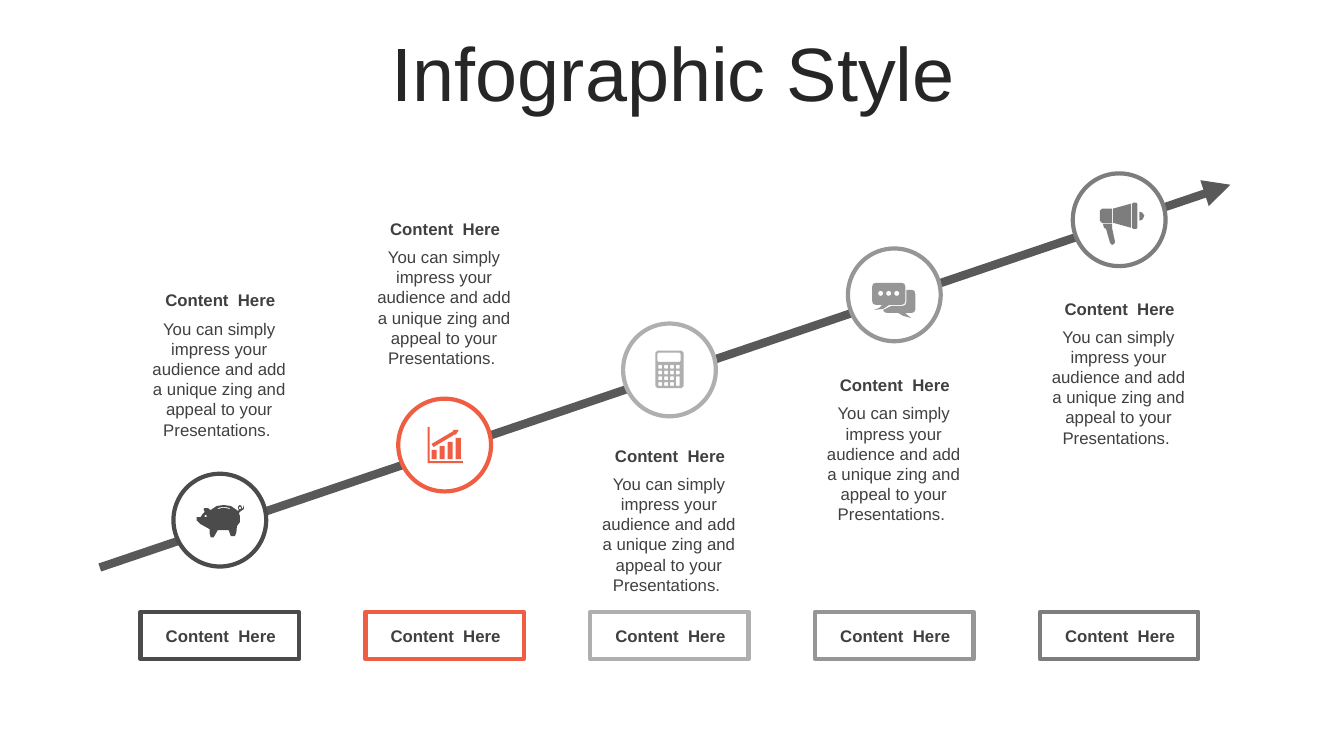
from math import cos, pi, sin
from lxml.etree import SubElement
from pptx import Presentation
from pptx.dml.color import RGBColor
from pptx.enum.shapes import MSO_CONNECTOR as Link, MSO_SHAPE as Kind
from pptx.enum.text import MSO_ANCHOR as Anchor, PP_ALIGN as Align
from pptx.oxml.ns import qn
from pptx.util import Inches, Pt

WHITE = RGBColor(0xFF, 0xFF, 0xFF)
TITLE = RGBColor(0x26, 0x26, 0x26)
TEXT = RGBColor(0x40, 0x40, 0x40)
ARROW = RGBColor(0x59, 0x59, 0x59)
DARK = RGBColor(0x4B, 0x4B, 0x4B)
RED = RGBColor(0xEF, 0x5E, 0x42)
LIGHT = RGBColor(0xAF, 0xAF, 0xAF)
MID = RGBColor(0x96, 0x96, 0x96)
GRAY = RGBColor(0x7D, 0x7D, 0x7D)

HEAD = "Content  Here"
BODY = ("You can simply impress your audience and add a unique zing "
        "and appeal to your Presentations. ")

# Grid: five columns, circles climbing by an equal step
FIRST, PITCH = 2.18, 2.23
BASE, RISE = 5.16, 0.745
RING, BOX_W, BOX_H, BOX_TOP = 0.92, 1.57, 0.47, 6.07

deck = Presentation()
deck.slide_width, deck.slide_height = Inches(13.33), Inches(7.5)
slide = deck.slides.add_slide(deck.slide_layouts[6])
shapes = slide.shapes


def write(text, left, top, width, height, size=12, color=TEXT, bold=False):
    box = shapes.add_textbox(Inches(left), Inches(top), Inches(width), Inches(height))
    frame = box.text_frame
    frame.word_wrap = True
    frame.text = text
    para = frame.paragraphs[0]
    para.alignment = Align.CENTER
    font = para.runs[0].font
    font.name, font.size, font.bold = "Arial", Pt(size), bold
    font.color.rgb = color
    return frame


def block(x, y, w, h, cut=0):
    """Outline of a rectangle with cut corners."""
    r, b = x + w, y + h
    return [(x + cut, y), (r - cut, y), (r, y + cut), (r, b - cut),
            (r - cut, b), (x + cut, b), (x, b - cut), (x, y + cut)]


# Icon outlines, in hundredths of an inch
disc = [(cos(k * pi / 6), sin(k * pi / 6)) for k in range(12)]

pig = [
    [(27, 0), (34, 1), (40, 5), (41, 6), (42, 5), (41, 3), (41.5, 1), (43, 0),
     (44.5, 1), (45, 3), (45, 4), (46, 3), (47, 0), (47, 4), (44, 6), (42, 8),
     (43, 11), (43, 17), (40, 21), (39.5, 27), (38, 31), (34, 31), (32, 25),
     (21, 25), (17, 32), (14, 32), (13, 28), (13, 24), (4, 19), (0, 15),
     (0, 12), (4, 12), (6, 9), (8, 7), (7, 4), (8, 3), (11, 3), (14, 5), (20, 1)],
    [(21, 3), (21, 4), (27, 2.7), (33, 4), (33, 3), (27, 1.7)],
] + [[(x + 1.2 * u, y + 1.2 * v) for u, v in disc] for x, y in [(9, 11), (43, 3)]]

chart = [block(4 + 8 * k, 23 - 4 * k, 5, 9 + 4 * k) for k in range(4)] + [
    [(25, 3), (31, 3), (28, 8), (28, 7), (6, 20), (4, 17), (26, 4)],
    [(0, 0), (2, 0), (2, 34), (35, 34), (35, 36), (0, 36)],
]

calc = [block(0, 0, 28, 37, 2), block(2, 2, 23, 9, 1)]
for col in range(4):
    for row in range(4):
        if (col, row) != (3, 3):
            tall = 9.5 if (col, row) == (3, 2) else 3.8
            calc.append(block(3 + 5.8 * col, 14 + 5.7 * row, 3.8, tall, 0.5))

chat = [
    [(4, 0), (29, 0), (32, 1), (33, 4), (33, 18), (32, 21), (29, 22), (17, 22),
     (11, 26), (2, 27), (7, 25), (10, 22), (4, 22), (1, 21), (0, 18), (0, 4), (1, 1)],
    [(34, 7), (39, 7), (42, 8), (43, 12), (43, 26), (42, 29), (39, 30), (33, 30),
     (35, 32), (39, 35), (31, 33), (26, 30), (15, 30), (12, 29), (11, 27),
     (19, 23), (30, 23), (33, 22), (34, 19)],
] + [[(x + 2.5 * u, 10.5 + 2.5 * v) for u, v in disc] for x in (8.5, 16.5, 24.5)]

horn = [
    [(12, 21), (12, 25), (15, 39), (14, 41), (12, 42), (10, 40), (6, 26), (4, 25), (3, 21)],
    [(39, 9), (42, 10), (44, 13), (42, 17), (39, 18)],
    [(2, 6), (12, 6), (12, 20), (2, 20), (0, 18), (0, 8)],
    [(31, 1), (31, 25), (13, 20), (13, 6)],
    block(32, 0, 5, 26, 1),
]

# Title
frame = write("Infographic Style", 0.35, 0.37, 12.66, 0.79, 54, TITLE)
frame.vertical_anchor = Anchor.MIDDLE
frame.paragraphs[0].line_spacing = 0.9

# Rising arrow
shaft = shapes.add_connector(Link.STRAIGHT, Inches(12.07), Inches(1.88),
                             Inches(0.99), Inches(5.63))
shaft.line.color.rgb, shaft.line.width = ARROW, Pt(6)
SubElement(shaft._element.spPr, qn("a:effectLst"))
tip = shapes.add_shape(Kind.ISOSCELES_TRIANGLE, Inches(11.94), Inches(1.74),
                       Inches(0.27), Inches(0.27))
tip.rotation = 72
tip.shadow.inherit = False
tip.fill.solid()
tip.fill.fore_color.rgb = ARROW
tip.line.fill.background()

# Columns: colour, top of the text, icon and its place inside the circle
steps = [
    (DARK, 2.83, pig, 23, 31),
    (RED, 2.12, chart, 29, 28),
    (LIGHT, 4.37, calc, 32, 27),
    (MID, 3.67, chat, 24, 34),
    (GRAY, 2.91, horn, 27, 29),
]
for i, (color, top, icon, dx, dy) in enumerate(steps):
    mid = FIRST + PITCH * i
    left, high = mid - RING / 2, BASE - RISE * i - RING / 2

    # Circle and label frame
    for kind, x, y, w, h in [
        (Kind.OVAL, left, high, RING, RING),
        (Kind.RECTANGLE, mid - BOX_W / 2, BOX_TOP, BOX_W, BOX_H),
    ]:
        shape = shapes.add_shape(kind, Inches(x), Inches(y), Inches(w), Inches(h))
        shape.shadow.inherit = False
        shape.fill.solid()
        shape.fill.fore_color.rgb = WHITE
        shape.line.color.rgb, shape.line.width = color, Pt(3)

    # Texts
    write(HEAD, mid - 0.72, 6.16, 1.46, 0.3, bold=True)
    write(BODY, mid - 0.79, top + 0.28, BOX_W, 1.31)
    write(HEAD, mid - 0.79, top, 1.59, 0.3, bold=True)

    # Icon, drawn in thousandths of an inch
    pen = None
    for ring in icon:
        pts = [(left * 1000 + (dx + x) * 10, high * 1000 + (dy + y) * 10) for x, y in ring]
        if pen is None:
            pen = shapes.build_freeform(*pts[0], scale=914.4)
        else:
            pen.move_to(*pts[0])
        pen.add_line_segments(pts[1:], close=True)
    glyph = pen.convert_to_shape()
    glyph.shadow.inherit = False
    glyph.fill.solid()
    glyph.fill.fore_color.rgb = color
    glyph.line.fill.background()

deck.save("out.pptx")
